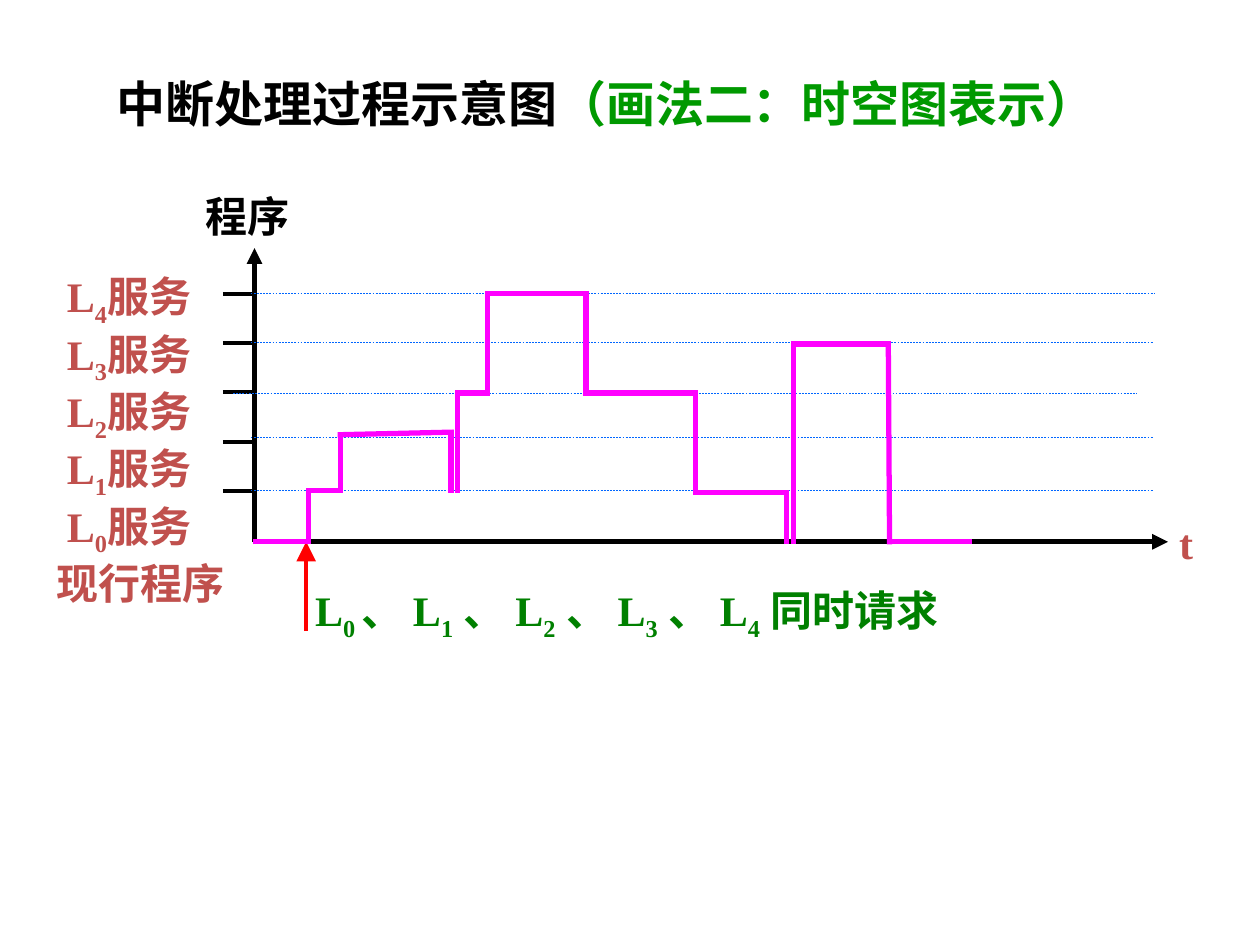
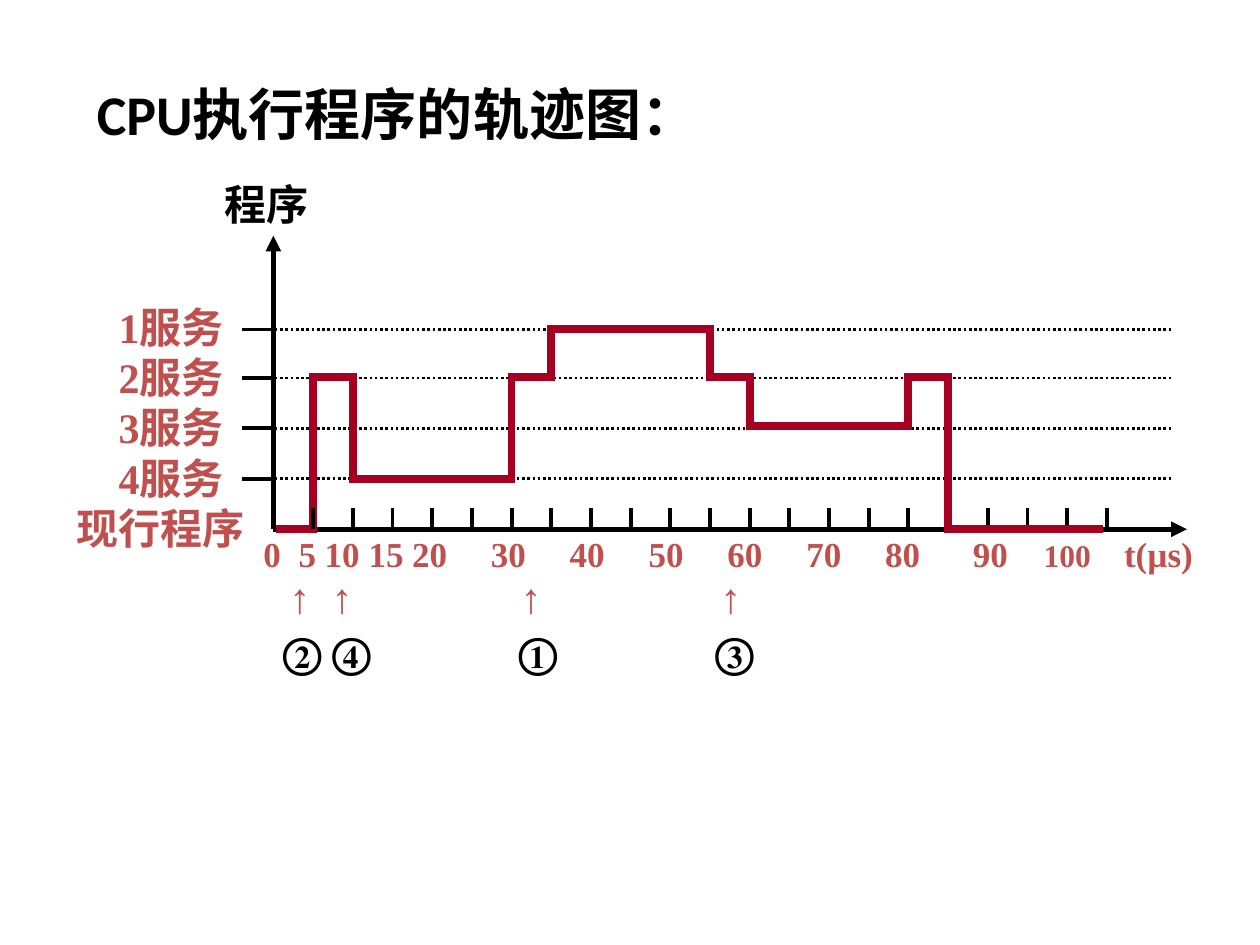
from itertools import pairwise
from typing import NamedTuple

from pptx import Presentation
from pptx.dml.color import RGBColor
from pptx.enum.dml import MSO_LINE
from pptx.enum.shapes import MSO_CONNECTOR
from pptx.enum.text import MSO_ANCHOR, PP_ALIGN
from pptx.oxml.ns import qn
from pptx.oxml.xmlchemy import OxmlElement
from pptx.util import Inches, Pt

BLACK = RGBColor(0x00, 0x00, 0x00)
BRICK = RGBColor(0xC0, 0x50, 0x4D)
TITLE_GREEN = RGBColor(0x00, 0x99, 0x00)
REQUEST_GREEN = RGBColor(0x00, 0x80, 0x00)
GUIDE_BLUE = RGBColor(0x00, 0x66, 0xFF)
MAGENTA = RGBColor(0xFF, 0x00, 0xFF)
CRIMSON = RGBColor(0xA5, 0x00, 0x21)
RED = RGBColor(0xFF, 0x00, 0x00)

COLUMNS, ROWS = 100, 75
SERIF = "Times New Roman"


class Run(NamedTuple):
    text: str
    color: RGBColor = BRICK
    size: int = 24
    font: str = SERIF
    baseline: int = 0


class Para(NamedTuple):
    runs: list
    indent: float = 0
    align: PP_ALIGN = PP_ALIGN.LEFT


class TimingDeck:
    def __init__(self):
        self.deck = Presentation()
        self.deck.slide_width, self.deck.slide_height = Inches(10), Inches(7.5)
        self.slide = None

    def new_slide(self):
        self.slide = self.deck.slides.add_slide(self.deck.slide_layouts[6])

    def col(self, columns):
        return int(self.deck.slide_width * columns / COLUMNS)

    def row(self, rows):
        return int(self.deck.slide_height * rows / ROWS)

    def text(self, left, top, width, height, paras, anchor=MSO_ANCHOR.TOP):
        frame = self.slide.shapes.add_textbox(
            self.col(left), self.row(top), self.col(width), self.row(height)
        ).text_frame
        frame.word_wrap = True
        frame.vertical_anchor = anchor
        for number, para in enumerate(paras):
            paragraph = frame.add_paragraph() if number else frame.paragraphs[0]
            paragraph.alignment = para.align
            properties = paragraph._p.get_or_add_pPr()
            properties.set("marL", str(self.col(para.indent)))
            properties.set("indent", "0")
            for part in para.runs:
                run = paragraph.add_run()
                run.text = part.text
                run.font.name = part.font
                run.font.size = Pt(part.size)
                run.font.bold = True
                run.font.color.rgb = part.color
                if part.baseline:
                    run.font._element.set("baseline", str(part.baseline * 1000))

    def title(self, left, top, width, height, runs):
        self.text(left, top, width, height, [Para(runs)], MSO_ANCHOR.MIDDLE)

    def centered_label(self, center, top, run):
        self.text(center - 5, top, 10, 5, [Para([run], align=PP_ALIGN.CENTER)])

    def line(self, start, end, color=BLACK, weight=2.25, dash=None, arrow=None, cap=None):
        connector = self.slide.shapes.add_connector(
            MSO_CONNECTOR.STRAIGHT,
            self.col(start[0]), self.row(start[1]), self.col(end[0]), self.row(end[1]),
        )
        connector.line.color.rgb = color
        connector.line.width = Pt(weight)
        if dash:
            connector.line.dash_style = dash
        properties = connector._element.spPr
        outline = properties.find(qn("a:ln"))
        if cap:
            outline.set("cap", cap)
        if arrow:
            head = OxmlElement("a:tailEnd")
            head.set("type", "triangle")
            head.set("w", arrow)
            head.set("len", arrow)
            outline.append(head)
        properties.append(OxmlElement("a:effectLst"))

    def trace(self, points, color, weight):
        for start, end in pairwise(points):
            self.line(start, end, color, weight, cap="sq")

    def axes(self, x, y):
        self.line((x, y), (x, y - 23.3), weight=3, arrow="med")
        self.line((x, y), (x + 72.5, y), weight=3, arrow="med")
        self.text(x - 4.85, y - 28.35, 9.4, 5, [Para([Run("程序", BLACK)])])

    def level_ticks(self, x, levels):
        for y in levels:
            self.line((x - 2.5, y), (x, y))


def indexed(number, color):
    return [Run("L", color), Run(str(number), color, baseline=-25)]


def build_interrupt_slide(deck):
    deck.new_slide()
    deck.title(8.3, 4.8, 87.4, 6.7, [
        Run("中断处理过程示意图", BLACK, 28),
        Run("（画法二：时空图表示）", TITLE_GREEN, 28),
    ])
    origin_x, base = 20.2, 43
    deck.axes(origin_x, base)
    services = [Para(indexed(n, BRICK) + [Run("服务")], 0.83) for n in range(4, -1, -1)]
    deck.text(3.5, 21, 18, 27.8, services + [Para([Run("现行程序")])])
    deck.level_ticks(origin_x, [23.3 + 3.92 * n for n in range(5)])
    for start, end, y in ((19.9, 91.6, 23.3), (19.9, 91.5, 27.2), (18.5, 90.2, 31.2),
                          (19.9, 91.5, 34.7), (19.9, 91.5, 38.9)):
        deck.line((start, y), (end, y), GUIDE_BLUE, 0.25, MSO_LINE.DASH)

    requests = []
    for number in range(5):
        requests += indexed(number, REQUEST_GREEN)
        requests.append(Run(" ", REQUEST_GREEN, baseline=0 if number else -25))
        requests.append(Run("、 " if number < 4 else "同时请求", REQUEST_GREEN))
    deck.text(23.2, 45.9, 71.7, 5.6, [Para(requests, 0.83)])
    deck.line((24.3, 50.1), (24.3, base), RED, arrow="lg")
    deck.text(92.6, 40.6, 3.1, 9, [Para([Run("t")])])

    busy_spans = (
        ((20.3, base), (24.5, base), (24.5, 38.95), (27, 38.95), (27, 34.5),
         (35.8, 34.3), (35.8, 38.9)),
        ((36.3, 38.9), (36.3, 31.2), (38.7, 31.2), (38.7, 23.3), (46.5, 23.3),
         (46.5, 31.2), (55.2, 31.2), (55.2, 39.1), (62.4, 39.1), (62.4, base)),
        ((63, base), (63, 27.3), (70.5, 27.3), (70.6, base), (76.9, base)),
    )
    for span in busy_spans:
        deck.trace(span, MAGENTA, 3)


def build_cpu_slide(deck):
    deck.new_slide()
    deck.title(6.7, 4.95, 80.4, 8.1, [Run("CPU执行程序的轨迹图：", BLACK, 32, "Calibri")])
    origin_x, base = 21.7, 42
    levels = {1: 26.15, 2: 30, 3: 34, 4: 38}

    def at(microseconds):
        return origin_x + 0.63 * microseconds

    def time_tick(microseconds):
        deck.line((at(microseconds), base - 1.7), (at(microseconds), base))

    deck.axes(origin_x, base)
    services = [Para([Run(f"{n}服务")], 3.33) for n in levels]
    deck.text(5.1, 23.4, 18, 21, services + [Para([Run("现行程序")])])
    deck.level_ticks(origin_x, levels.values())
    for y in levels.values():
        deck.line((21.4, y), (93.1, y), weight=1.5, dash=MSO_LINE.ROUND_DOT)
    for microseconds in range(10, 106, 5):
        time_tick(microseconds)

    time_centers = {0: 21.6, 5: 24.4, 10: 27.15, 15: 30.65, 20: 34.1}
    time_centers |= {time: 40.35 + 0.626 * (time - 30) for time in range(30, 81, 10)}
    time_centers[90] = 78.6
    for time, center in time_centers.items():
        deck.centered_label(center, 41.8, Run(str(time), size=20))
    deck.centered_label(84.7, 42.05, Run("100", size=18))
    deck.centered_label(91.95, 41.8, Run("t(µs)", size=20))
    for source, arrow_center, source_center in (("②", 23.8, 24), ("④", 27.15, 27.9),
                                                ("①", 42.15, 42.7), ("③", 58, 58.3)):
        deck.centered_label(arrow_center, 44.9, Run("↑", font="Arial"))
        deck.centered_label(source_center, 49.2, Run(source, BLACK))

    running = ((0.8, 5, base), (5, 10, 29.9), (10, 30, 38), (30, 35, 29.9), (35, 55, 26.1),
               (55, 60, 29.9), (60, 80, 33.8), (80, 85, 29.9), (85, 104, base))
    corners = [(at(time), y) for start, end, y in running for time in (start, end)]
    deck.trace(corners, CRIMSON, 4.5)
    time_tick(5)


def main():
    deck = TimingDeck()
    build_interrupt_slide(deck)
    build_cpu_slide(deck)
    deck.deck.save("out.pptx")


if __name__ == "__main__":
    main()
